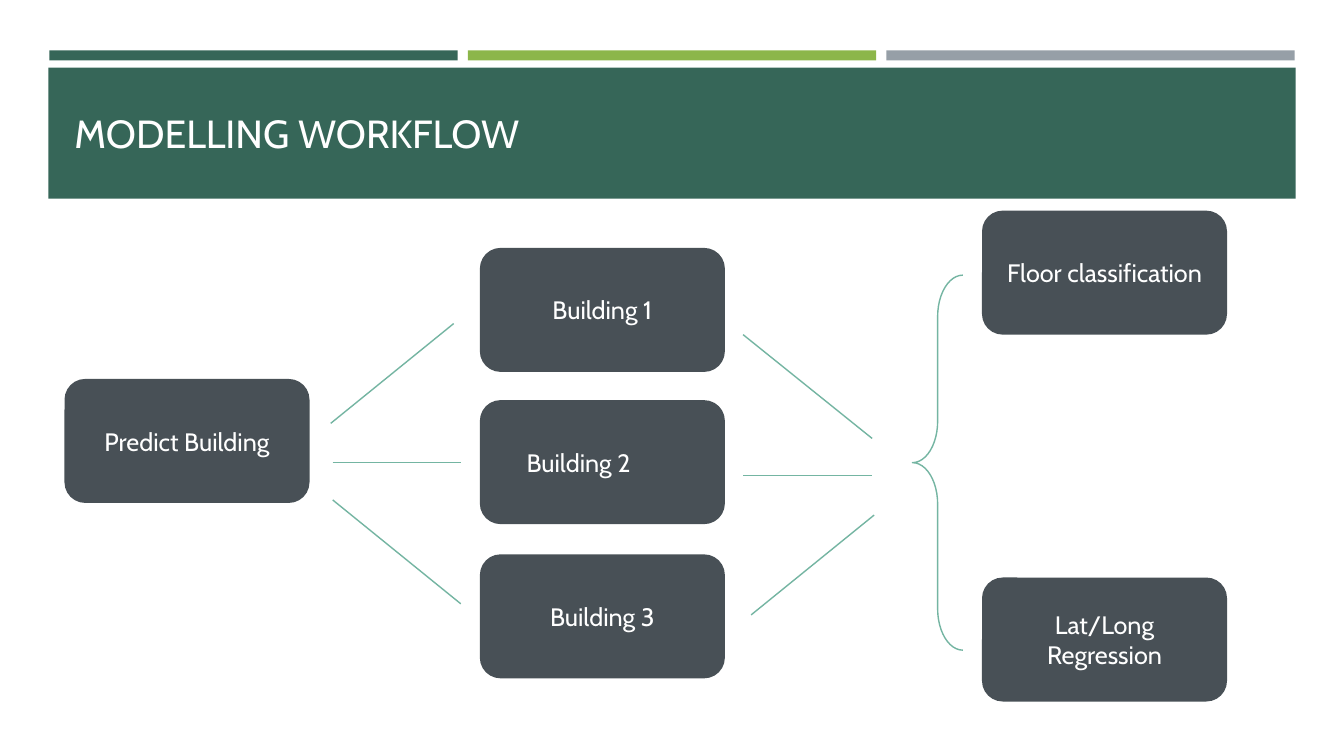
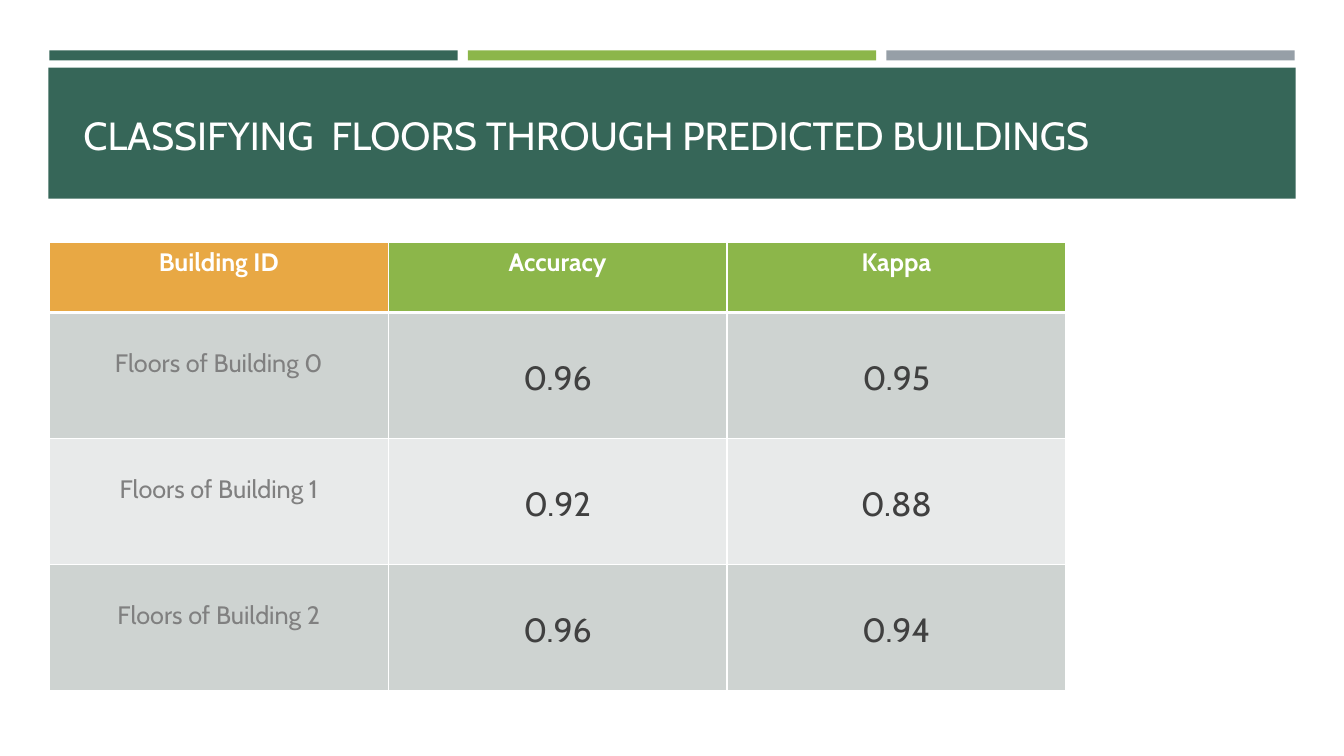
import pptx
import pptx.dml.color
import pptx.enum.shapes
import pptx.enum.text
import pptx.oxml.ns
import pptx.util
from lxml import etree

Inches, Pt = pptx.util.Inches, pptx.util.Pt
RGBColor = pptx.dml.color.RGBColor
MSO_SHAPE = pptx.enum.shapes.MSO_SHAPE
ANCHOR = pptx.enum.text.MSO_ANCHOR
ALIGN = pptx.enum.text.PP_ALIGN
qn = pptx.oxml.ns.qn

FONT = "Cabin"
WHITE = RGBColor(0xFF, 0xFF, 0xFF)
FOREST = RGBColor(0x36, 0x66, 0x58)
LIME = RGBColor(0x8C, 0xB6, 0x4A)
STEEL = RGBColor(0x96, 0x9F, 0xA7)
SLATE = RGBColor(0x48, 0x50, 0x56)
MINT = RGBColor(0x74, 0xB5, 0xA2)
AMBER = RGBColor(0xE8, 0xA8, 0x44)
ROW_DARK = RGBColor(0xCE, 0xD3, 0xD1)
ROW_LIGHT = RGBColor(0xE8, 0xEA, 0xEA)
LABEL_GREY = RGBColor(0x80, 0x80, 0x80)
VALUE_GREY = RGBColor(0x40, 0x40, 0x40)

NODE_W, NODE_H = 2.43, 1.23


class Deck:
    def __init__(self):
        self.prs = pptx.Presentation()
        self.prs.slide_width = Inches(13.33)
        self.prs.slide_height = Inches(7.5)
        self.s = None

    def slide(self, title, left, top, height):
        """Start a slide with the shared bands and its title."""
        self.s = self.prs.slides.add_slide(self.prs.slide_layouts[6])
        for i, color in enumerate((FOREST, LIME, STEEL)):
            self.shape(MSO_SHAPE.RECTANGLE, 0.49 + 4.15 * i, 0.5, 4.05, 0.1, color)
        self.shape(MSO_SHAPE.RECTANGLE, 0.48, 0.67, 12.37, 1.3, FOREST)
        box = self.s.shapes.add_textbox(
            Inches(left), Inches(top), Inches(12.06), Inches(height))
        tf = box.text_frame
        tf.word_wrap = True
        tf.vertical_anchor = ANCHOR.BOTTOM
        self.text(tf, title, 28, align=ALIGN.LEFT)

    def text(self, tf, text, size, color=WHITE, bold=False, align=ALIGN.CENTER):
        p = tf.paragraphs[0]
        p.alignment = align
        r = p.add_run()
        r.text = text
        r.font.name = FONT
        r.font.size = Pt(size)
        r.font.bold = bold
        r.font.color.rgb = color

    def shape(self, kind, left, top, width, height, fill):
        sp = self.s.shapes.add_shape(
            kind, Inches(left), Inches(top), Inches(width), Inches(height))
        sp.shadow.inherit = False
        sp.fill.solid()
        sp.fill.fore_color.rgb = fill
        sp.line.fill.background()
        return sp

    def node(self, text, left, top, right_inset=0.1):
        sp = self.shape(MSO_SHAPE.ROUNDED_RECTANGLE, left, top, NODE_W, NODE_H, SLATE)
        tf = sp.text_frame
        tf.word_wrap = True
        tf.vertical_anchor = ANCHOR.MIDDLE
        tf.margin_right = Inches(right_inset)
        self.text(tf, text, 18)

    def line(self, x1, y1, x2, y2):
        cx = self.s.shapes.add_connector(
            pptx.enum.shapes.MSO_CONNECTOR.STRAIGHT,
            Inches(x1), Inches(y1), Inches(x2), Inches(y2))
        cx.line.color.rgb = MINT
        cx.line.width = Pt(1)
        etree.SubElement(cx._element.spPr, qn("a:effectLst"))

    def brace(self, left, top, width, height):
        sp = self.shape(MSO_SHAPE.LEFT_BRACE, left, top, width, height, WHITE)
        sp.fill.background()
        sp.line.color.rgb = MINT
        sp.line.width = Pt(1)
        sp.adjustments[0] = 0.822
        sp.adjustments[1] = 0.5

    def cell(self, cell, text, size, color, fill, bold=False, margin_top=0.05,
             top_border=1, bottom_border=1):
        tcPr = cell._tc.get_or_add_tcPr()
        borders = {"lnL": 1, "lnR": 1, "lnT": top_border, "lnB": bottom_border}
        for tag, width in borders.items():
            ln = etree.SubElement(tcPr, qn("a:" + tag), w=str(Pt(width)))
            solid = etree.SubElement(ln, qn("a:solidFill"))
            etree.SubElement(solid, qn("a:srgbClr"), val=str(WHITE))
        cell.fill.solid()
        cell.fill.fore_color.rgb = fill
        cell.margin_top = Inches(margin_top)
        cell.vertical_anchor = ANCHOR.TOP
        self.text(cell.text_frame, text, size, color, bold)

    def table(self, left, top, col_width, row_heights, header, rows):
        table = self.s.shapes.add_table(
            len(rows) + 1, len(header), Inches(left), Inches(top),
            Inches(col_width * len(header)), Inches(sum(row_heights))).table
        table.horz_banding = False
        for col in table.columns:
            col.width = Inches(col_width)
        for row, height in zip(table.rows, row_heights):
            row.height = Inches(height)
        for j, name in enumerate(header):
            self.cell(table.cell(0, j), name, 18, WHITE, LIME if j else AMBER,
                      bold=True, bottom_border=3)
        for i, row in enumerate(rows, 1):
            fill = ROW_DARK if i % 2 else ROW_LIGHT
            for j, value in enumerate(row):
                size, color, margin = (24, VALUE_GREY, 0.45) if j else (18, LABEL_GREY, 0.35)
                self.cell(table.cell(i, j), value, size, color, fill,
                          margin_top=margin, top_border=3 if i == 1 else 1)


def workflow(deck):
    deck.slide("MODELLING WORKFLOW", 0.64, 0.97, 0.63)
    deck.node("Predict Building", 0.64, 3.76)
    deck.node("Building 1", 4.76, 2.46)
    deck.node("Building 2", 4.76, 3.97, right_inset=0.57)
    deck.node("Building 3", 4.76, 5.5)
    deck.node("Floor classification", 9.74, 2.09)
    deck.node("Lat/Long Regression", 9.74, 5.73)
    for ends in ((3.28, 4.2, 4.5, 3.21), (3.3, 4.59, 4.57, 4.59), (3.3, 4.96, 4.57, 5.99),
                 (7.37, 3.32, 8.65, 4.35), (7.37, 4.72, 8.65, 4.72), (7.45, 6.1, 8.67, 5.11)):
        deck.line(*ends)
    deck.brace(9.05, 2.73, 0.5, 3.72)


def floor_scores(deck):
    deck.slide("CLASSIFYING  FLOORS THROUGH PREDICTED BUILDINGS", 0.73, 0.96, 0.66)
    deck.table(0.49, 2.4, 3.36, (0.7, 1.25, 1.25, 1.25),
               ("Building ID", "Accuracy", "Kappa"),
               (("Floors of Building 0", "0.96", "0.95"),
                ("Floors of Building 1", "0.92", "0.88"),
                ("Floors of Building 2", "0.96", "0.94")))


def main():
    deck = Deck()
    workflow(deck)
    floor_scores(deck)
    deck.prs.save("out.pptx")


if __name__ == "__main__":
    main()
